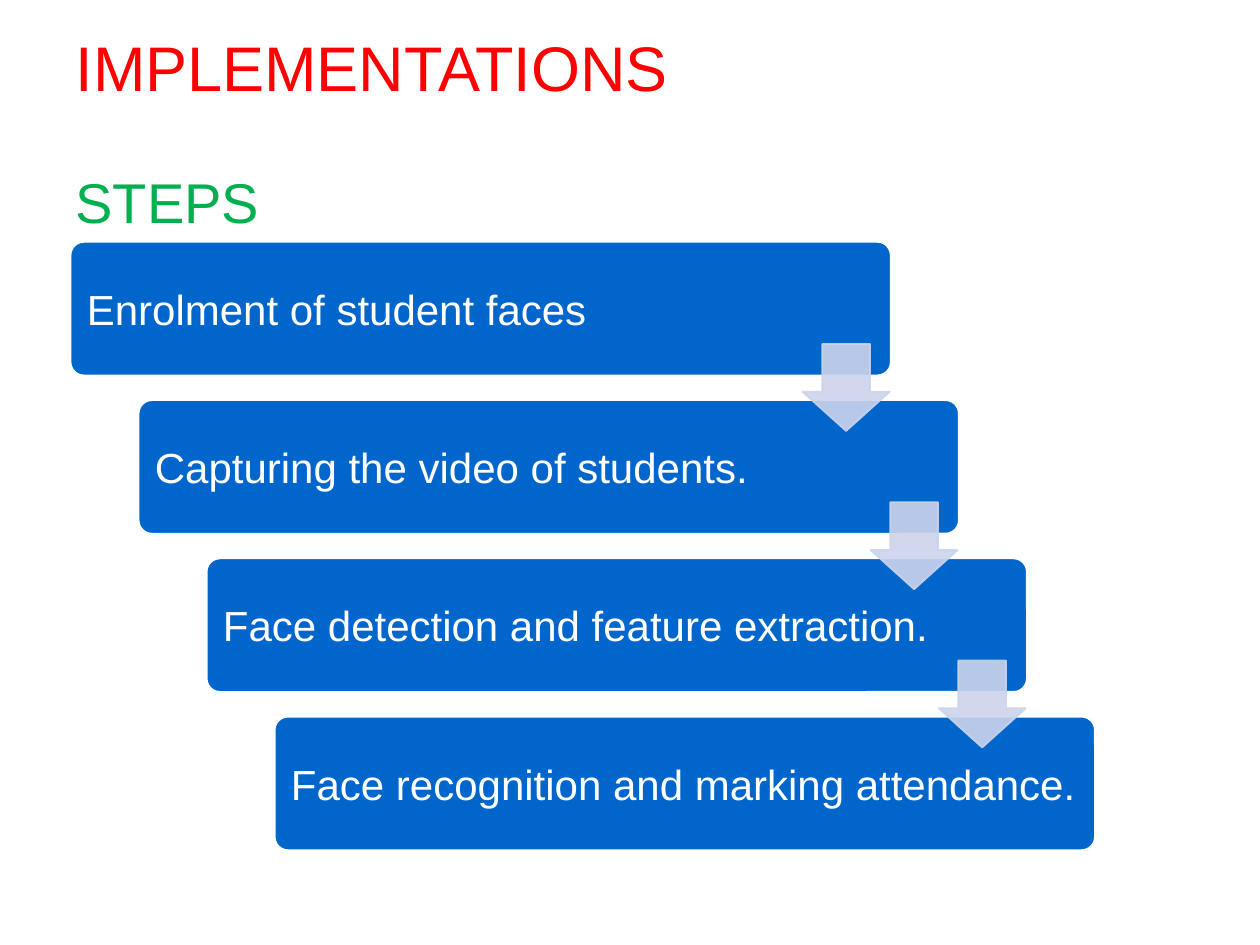
from lxml import etree
from pptx import Presentation
from pptx.dml.color import RGBColor
from pptx.enum.shapes import MSO_SHAPE
from pptx.enum.text import MSO_ANCHOR, MSO_AUTO_SIZE, PP_ALIGN
from pptx.oxml.ns import qn
from pptx.util import Inches, Pt

ROUNDED = MSO_SHAPE.ROUNDED_RECTANGLE
DOWN_ARROW = MSO_SHAPE.DOWN_ARROW
LEFT = PP_ALIGN.LEFT
TOP, MIDDLE = MSO_ANCHOR.TOP, MSO_ANCHOR.MIDDLE
NO_AUTOFIT = MSO_AUTO_SIZE.NONE

COLORS = {
    "title": "FF0000",
    "heading": "00B050",
    "step": "0066CC",
    "arrow": "CCD3EC",
    "white": "FFFFFF",
}
STEPS = [
    "Enrolment of student faces",
    "Capturing the video of students.",
    "Face detection and feature extraction.",
    "Face recognition and marking attendance.",
]


def write_text(shape, text, size, color, anchor=MIDDLE):
    frame = shape.text_frame
    frame.word_wrap = True
    frame.auto_size = NO_AUTOFIT
    frame.vertical_anchor = anchor
    para = frame.paragraphs[0]
    para.alignment = LEFT
    span = para.add_run()
    span.text = text
    span.font.name = "Arial"
    span.font.size = Pt(size)
    span.font.color.rgb = RGBColor.from_string(COLORS[color])
    return para


def add_block(page, kind, left, top, width, height, adjustments, fill, line):
    shape = page.shapes.add_shape(
        kind, Inches(left), Inches(top), Inches(width), Inches(height))
    for index, value in enumerate(adjustments):
        shape.adjustments[index] = value
    shape.shadow.inherit = False
    shape.fill.solid()
    shape.fill.fore_color.rgb = RGBColor.from_string(COLORS[fill])
    shape.line.color.rgb = RGBColor.from_string(COLORS[line])
    shape.line.width = Pt(1)
    return shape


deck = Presentation()
deck.slide_width, deck.slide_height = Inches(10), Inches(7.5)
page = deck.slides.add_slide(deck.slide_layouts[1])

# Title
title = page.shapes.title
title.left, title.top = Inches(0.5), Inches(0.21)
title.width, title.height = Inches(9), Inches(0.64)
write_text(title, "IMPLEMENTATIONS", 36, "title")

# Heading in the body, without a bullet
body = page.placeholders[1]
body.left, body.top = Inches(0.5), Inches(1.28)
body.width, body.height = Inches(9), Inches(5.42)
heading = write_text(body, "STEPS", 32, "heading", anchor=TOP)
properties = heading._p.get_or_add_pPr()
properties.set("marL", "0")
properties.set("indent", "0")
etree.SubElement(properties, qn("a:buNone"))

# Staircase of steps
step_x, step_y = 0.54, 1.256
for index, text in enumerate(STEPS):
    box = add_block(page, ROUNDED, 0.56 + index * step_x, 1.92 + index * step_y,
                    6.51, 1.06, [0.1], "step", "white")
    frame = box.text_frame
    frame.margin_left = frame.margin_right = Inches(0.1)
    frame.margin_top = frame.margin_bottom = Inches(0.1)
    write_text(box, text, 24, "white")

# Arrows from each step to the next, slightly transparent
for index in range(len(STEPS) - 1):
    arrow = add_block(page, DOWN_ARROW, 6.37 + index * step_x, 2.73 + index * step_y,
                      0.69, 0.69, [0.45, 0.55], "arrow", "arrow")
    # A down arrow takes its shaft width first, then its head length
    arrow.adjustments[0], arrow.adjustments[1] = 0.55, 0.45
    for color in arrow._element.spPr.iter(qn("a:srgbClr")):
        etree.SubElement(color, qn("a:alpha"), val="90000")

deck.save("out.pptx")
